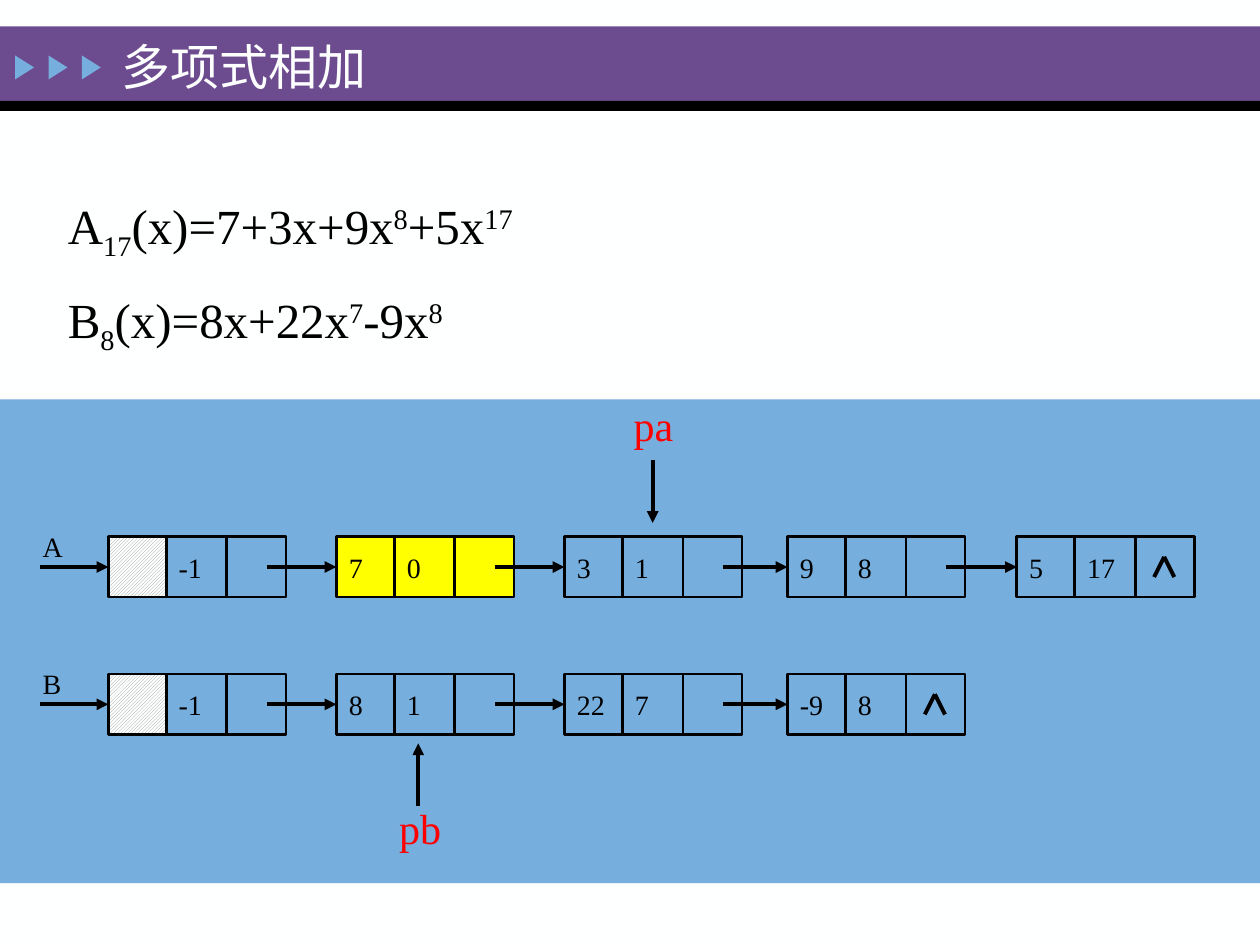
from lxml import etree
from pptx import Presentation
from pptx.dml.color import RGBColor
from pptx.enum.dml import MSO_PATTERN
from pptx.enum.shapes import MSO_CONNECTOR, MSO_SHAPE
from pptx.enum.text import MSO_ANCHOR, PP_ALIGN
from pptx.oxml.ns import qn
from pptx.util import Inches, Pt

FONT = "Times New Roman"
WHITE, BLACK, RED, YELLOW = "FEFFFF", "000000", "FF0000", "FFFF00"
PURPLE, BLUE, GREY = "6C4C8F", "76AEDD", "969696"
CELLS = [(0, 0.46), (0.46, 0.48), (0.94, 0.47)]
NODE_H = 0.48
HATCH = "hatch"


def rgb(value):
    """Turn a hex string into a colour."""
    return RGBColor.from_string(value)


def add_box(s, x, y, w, h, fill=None, line=None, shape=MSO_SHAPE.RECTANGLE):
    """Add a preset shape with a plain, hatched or empty fill."""
    sp = s.shapes.add_shape(shape, Inches(x), Inches(y), Inches(w), Inches(h))
    sp.shadow.inherit = False
    if fill == HATCH:
        sp.fill.patterned()
        sp.fill.pattern = MSO_PATTERN.DARK_UPWARD_DIAGONAL
        sp.fill.fore_color.rgb = rgb(GREY)
        sp.fill.back_color.rgb = rgb(WHITE)
    elif fill:
        sp.fill.solid()
        sp.fill.fore_color.rgb = rgb(fill)
    else:
        sp.fill.background()
    if line:
        sp.line.color.rgb = rgb(line)
        sp.line.width = Pt(1.5)
    else:
        sp.line.fill.background()
    return sp


def write(sp, parts, size, color=BLACK, anchor=MSO_ANCHOR.TOP):
    """Write (text, baseline percent) parts as one left-aligned paragraph."""
    tf = sp.text_frame
    frame = {"word_wrap": True, "vertical_anchor": anchor, "margin_right": 0}
    for name, value in frame.items():
        setattr(tf, name, value)
    p = tf.paragraphs[0]
    p.alignment = PP_ALIGN.LEFT
    for text, base in parts:
        r = p.add_run()
        r.text = text
        for name, value in {"name": FONT, "size": Pt(size)}.items():
            setattr(r.font, name, value)
        r.font.color.rgb = rgb(color)
        if base:
            r._r.get_or_add_rPr().set("baseline", str(base * 1000))


def add_text(s, x, y, w, h, parts, size, color=BLACK, anchor=MSO_ANCHOR.TOP):
    """Add a text box."""
    sp = s.shapes.add_textbox(Inches(x), Inches(y), Inches(w), Inches(h))
    write(sp, parts, size, color, anchor)


def add_line(s, x1, y1, x2, y2, arrow=True, target=None):
    """Add a line, with an arrowhead and a joined rectangle if wanted."""
    c = s.shapes.add_connector(MSO_CONNECTOR.STRAIGHT, Inches(x1), Inches(y1),
                               Inches(x2), Inches(y2))
    c.line.color.rgb = rgb(BLACK)
    c.line.width = Pt(2.25)
    if arrow:
        etree.SubElement(c.line._get_or_add_ln(), qn("a:tailEnd"), type="triangle")
    etree.SubElement(c._element.spPr, qn("a:effectLst"))
    if target is not None:
        c.end_connect(target, 1)


def add_header(s, x, y, w, title):
    """Draw the title band with its three triangles."""
    add_box(s, x, y, w, 0.59, PURPLE)
    add_box(s, x, y + 0.59, w, 0.08, BLACK)
    for i in range(3):
        sp = add_box(s, x + 0.1 + i * 0.265, y + 0.25, 0.19, 0.15, BLUE,
                     shape=MSO_SHAPE.ISOSCELES_TRIANGLE)
        sp.rotation = 90
    add_text(s, x + 0.87, y - 0.03, 8, 0.68, [(title, 0)], 28, WHITE, MSO_ANCHOR.MIDDLE)


def add_formulas(s, x, y, w, formulas):
    """Stack the polynomials at an equal pitch."""
    for i, parts in enumerate(formulas):
        add_text(s, x, y + i * 0.75, w, 0.57, parts, 28)


def add_node(s, x, y, coef, exp, fill):
    """Draw a list node and return its first cell."""
    first_fill = fill if coef else HATCH
    cells = [add_box(s, x + dx, y, w, NODE_H, f, BLACK)
             for (dx, w), f in zip(CELLS, (first_fill, fill, fill))]
    for cell, text in zip(cells, (coef, exp)):
        if text:
            write(cell, [(text, 0)], 16, anchor=MSO_ANCHOR.MIDDLE)
    return cells[0]


def add_list(s, xs, y, name, terms, done=()):
    """Draw a linked list: its name, nodes, links and end mark."""
    mid = y + NODE_H / 2
    start = 0.32
    for i, (x, (coef, exp)) in enumerate(zip(xs, terms)):
        first = add_node(s, x, y, coef, exp, YELLOW if i in done else None)
        add_line(s, start, mid, x, mid, target=first)
        start = x + 1.26
        end_x = x + 1.17
    for dx in (-0.08, 0.08):
        add_line(s, end_x, y + 0.16, end_x + dx, y + 0.32, arrow=False)
    add_text(s, 0.24, y - 0.11, 0.36, 0.37, [(name, 0)], 16)


def add_pointer(s, x, y, name, tail, head):
    """Draw a pointer's label and its vertical arrow."""
    add_line(s, x + 0.25, tail, x + 0.25, head)
    add_text(s, x, y, 0.54, 0.51, [(name, 0)], 24, RED)


def add_diagram(s, x, y, w, h):
    """Draw the panel with both lists and their pointers."""
    add_box(s, x, y, w, h, BLUE)
    xs = [0.86, 2.67, 4.48, 6.25, 8.07]
    add_list(s, xs, y + 1.09, "A",
             [("", "-1"), ("7", "0"), ("3", "1"), ("9", "8"), ("5", "17")], done=(1,))
    add_list(s, xs, y + 2.18, "B",
             [("", "-1"), ("8", "1"), ("22", "7"), ("-9", "8")])
    add_pointer(s, 4.93, y - 0.05, "pa", y + 0.48, y + 0.98)
    add_pointer(s, 3.07, y + 3.15, "pb", y + 3.23, y + 2.73)


def main():
    """Build and save the slide."""
    prs = Presentation()
    prs.slide_width, prs.slide_height = Inches(10), Inches(7.5)
    s = prs.slides.add_slide(prs.slide_layouts[6])
    s.background.fill.solid()
    s.background.fill.fore_color.rgb = rgb(WHITE)
    add_header(s, 0, 0.21, 10, "多项式相加")
    add_formulas(s, 0.44, 1.5, 4.43, [
        [("A", 0), ("17", -25), ("(x)=7+3x+9x", 0), ("8", 30), ("+5x", 0), ("17", 30)],
        [("B", 0), ("8", -25), ("(x)=8x+22x", 0), ("7", 30), ("-9x", 0), ("8", 30)],
    ])
    add_diagram(s, 0, 3.17, 10, 3.84)
    prs.save("out.pptx")


if __name__ == "__main__":
    main()
